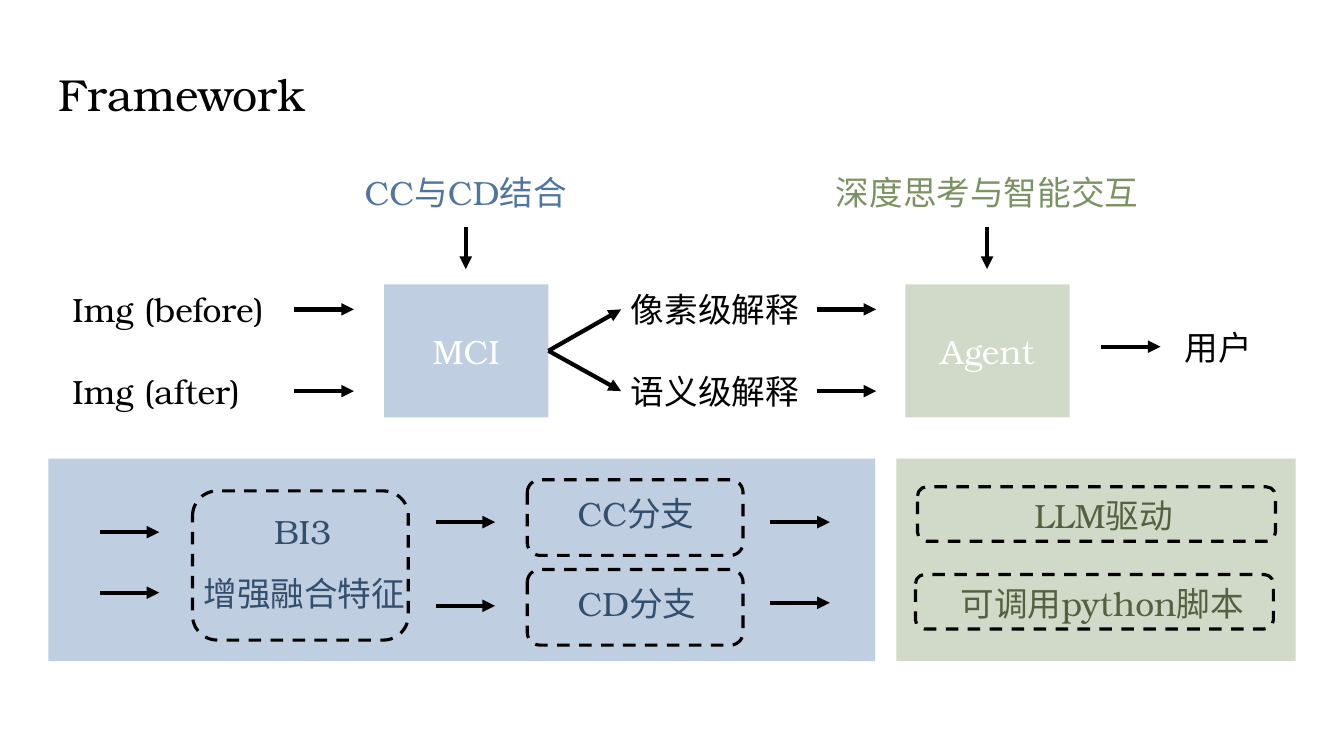
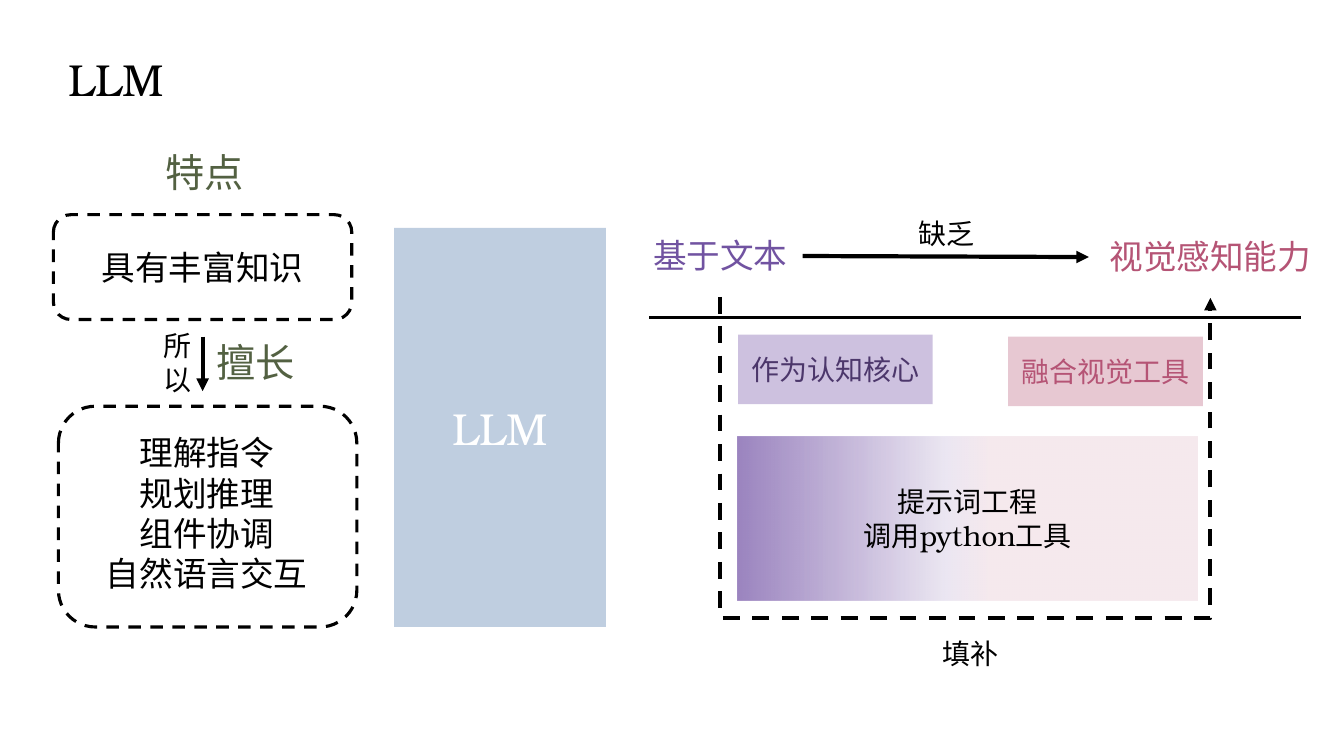
from dataclasses import dataclass

from lxml.etree import SubElement
from pptx import Presentation
from pptx.dml.color import RGBColor
from pptx.enum.dml import MSO_LINE_DASH_STYLE as Dash
from pptx.enum.shapes import MSO_CONNECTOR_TYPE as Connector
from pptx.enum.shapes import MSO_AUTO_SHAPE_TYPE as Shape
from pptx.enum.text import MSO_AUTO_SIZE as AutoSize
from pptx.enum.text import PP_PARAGRAPH_ALIGNMENT as Align
from pptx.oxml.ns import qn
from pptx.util import Inches, Pt


@dataclass(frozen=True)
class Theme:
    font: str = "TeX Gyre Bonum"
    title: int = 32
    heading: int = 28
    body: int = 24
    small: int = 20
    line: float = 3
    outline: float = 2.25
    rule: float = 1.5
    black: str = "000000"
    white: str = "FFFFFF"
    blue: str = "809EC2"
    blue_text: str = "4E75A3"
    blue_dark: str = "344E6D"
    green: str = "A5B592"
    green_text: str = "7D9263"
    green_dark: str = "536142"
    purple: str = "9C85C0"
    purple_text: str = "7153A1"
    purple_dark: str = "4C376B"
    pink: str = "D092A7"
    pink_text: str = "B55475"


theme = Theme()


def add_box(slide, frame, text="", size=theme.body, color=theme.black, kind=None,
            fill=None, dashed=False, align=Align.CENTER):
    """Add a text box, or a preset shape if kind is given; fills are half transparent."""
    lengths = [Inches(length) for length in frame]
    if kind is None:
        shape = slide.shapes.add_textbox(*lengths)
        shape.text_frame.auto_size = AutoSize.SHAPE_TO_FIT_TEXT
    else:
        shape = slide.shapes.add_shape(kind, *lengths)
        shape.shadow.inherit = False
        shape.fill.background()
        shape.line.fill.background()
    if fill:
        shape.fill.solid()
        shape.fill.fore_color.rgb = RGBColor.from_string(fill)
        solid_color = shape.element.xpath("./p:spPr/a:solidFill/a:srgbClr")[0]
        SubElement(solid_color, qn("a:alpha"), val="50000")
    if dashed:
        shape.line.color.rgb = RGBColor.from_string(theme.black)
        shape.line.width = Pt(theme.outline)
        shape.line.dash_style = Dash.DASH
    shape.text_frame.word_wrap = True
    shape.text_frame.text = text
    for paragraph in shape.text_frame.paragraphs:
        paragraph.alignment = align
        paragraph.font.name = theme.font
        paragraph.font.size = Pt(size)
        paragraph.font.color.rgb = RGBColor.from_string(color)
    return shape


def add_line(slide, start, end, width=theme.line, kind=Connector.STRAIGHT, arrow=True):
    line = slide.shapes.add_connector(kind, *[Inches(length) for length in (*start, *end)])
    line.line.color.rgb = RGBColor.from_string(theme.black)
    line.line.width = Pt(width)
    if arrow:
        SubElement(line.element.xpath("./p:spPr/a:ln")[0], qn("a:tailEnd"), type="triangle")
    SubElement(line.element.spPr, qn("a:effectLst"))
    return line


presentation = Presentation()
presentation.slide_width = Inches(13.33)
presentation.slide_height = Inches(7.5)
blank = presentation.slide_layouts[6]
framework = presentation.slides.add_slide(blank)
llm = presentation.slides.add_slide(blank)

for slide, frame, title in [
    (framework, (0.48, 0.61, 3.1, 0.64), "Framework"),
    (llm, (0.58, 0.46, 2.38, 0.64), "LLM"),
]:
    add_box(slide, frame, title, theme.title, align=Align.LEFT)

# Framework: upper flow
for left, name, fill, note, note_color in [
    (3.81, "MCI", theme.blue, "CC与CD结合", theme.blue_text),
    (8.98, "Agent", theme.green, "深度思考与智能交互", theme.green_text),
]:
    center = left + 0.81
    add_box(framework, (left, 2.82, 1.63, 1.32), name, color=theme.white,
            kind=Shape.RECTANGLE, fill=fill)
    add_box(framework, (center - 1.8, 1.66, 3.6, 0.5), note, color=note_color)
    add_line(framework, (center, 2.25), (center, 2.67))

for top, image, explanation in [
    (2.82, "Img (before)", "像素级解释"),
    (3.63, "Img (after)", "语义级解释"),
]:
    middle = top + 0.25
    add_box(framework, (0.62, top, 2.76, 0.5), image, align=Align.LEFT)
    add_box(framework, (6.16, top, 1.93, 0.5), explanation, align=Align.LEFT)
    add_line(framework, (5.44, 3.48), (6.16, middle))
    for left in (2.92, 8.1):
        add_line(framework, (left, middle), (left + 0.59, middle))

add_box(framework, (11.65, 3.19, 1.47, 0.5), "用户", align=Align.LEFT)

# Framework: detail panels
for left, width, fill in [(0.48, 8.2, theme.blue), (8.89, 3.96, theme.green)]:
    add_box(framework, (left, 4.55, width, 2.01), kind=Shape.RECTANGLE, fill=fill)

for frame in [
    (1.91, 4.87, 2.14, 1.48),
    (5.23, 4.76, 2.14, 0.75),
    (5.23, 5.65, 2.14, 0.75),
    (9.1, 4.83, 3.55, 0.54),
    (9.08, 5.7, 3.55, 0.54),
]:
    add_box(framework, frame, kind=Shape.ROUNDED_RECTANGLE, dashed=True)

for left, top, width, label, color in [
    (2.62, 5.02, 0.95, "BI3", theme.blue_dark),
    (1.92, 5.63, 2.33, "增强融合特征", theme.blue_dark),
    (5.63, 4.84, 1.46, "CC分支", theme.blue_dark),
    (5.63, 5.73, 1.46, "CD分支", theme.blue_dark),
    (10.16, 4.86, 1.94, "LLM驱动", theme.green_dark),
    (9.43, 5.73, 3.37, "可调用python脚本", theme.green_dark),
]:
    add_box(framework, (left, top, width, 0.5), label, color=color, align=Align.LEFT)

for left, middle in [(10.92, 3.44), (0.99, 5.28), (0.99, 5.88), (4.32, 5.18),
                     (4.32, 6.01), (7.64, 5.18), (7.64, 5.98)]:
    add_line(framework, (left, middle), (left + 0.59, middle))

# LLM: strengths
add_box(llm, (3.91, 2.26, 2.1, 3.96), "LLM", theme.title, theme.white,
        kind=Shape.RECTANGLE, fill=theme.blue)
add_box(llm, (0.53, 2.13, 2.96, 1.04), "具有丰富知识",
        kind=Shape.ROUNDED_RECTANGLE, dashed=True)
add_box(llm, (0.58, 4.03, 2.96, 2.19), kind=Shape.ROUNDED_RECTANGLE, dashed=True)
add_box(llm, (0.92, 4.24, 2.26, 1.72), "理解指令\n规划推理\n组件协调\n自然语言交互")

for frame, label, size, color in [
    ((1.54, 1.42, 1.52, 0.57), "特点", theme.heading, theme.green_dark),
    ((2.05, 3.31, 1.31, 0.57), "擅长", theme.heading, theme.green_dark),
    ((1.52, 3.21, 0.52, 0.77), "所以", theme.small, theme.black),
    ((9.01, 2.1, 1.31, 0.44), "缺乏", theme.small, theme.black),
    ((9.25, 6.27, 1.31, 0.44), "填补", theme.small, theme.black),
]:
    add_box(llm, frame, label, size, color, align=Align.LEFT)

# LLM: gap and remedy
for frame, label, color in [
    ((6.33, 2.13, 1.63, 0.81), "基于文本", theme.purple_text),
    ((10.8, 2.14, 2.41, 0.81), "视觉感知能力", theme.pink_text),
]:
    add_box(llm, frame, label, color=color, kind=Shape.ROUNDED_RECTANGLE)

add_line(llm, (2.01, 3.34), (2.01, 3.88))
add_line(llm, (7.96, 2.54), (10.8, 2.55))
add_line(llm, (6.44, 3.15), (12.9, 3.15), theme.rule, arrow=False)

# The elbow is turned a quarter so that it drops below both of its ends
detour = add_line(llm, (9.58, 0.52), (9.57, 5.38), kind=Connector.ELBOW)
detour.line.dash_style = Dash.DASH
detour.element.xpath("./p:spPr/a:xfrm")[0].set("rot", str(270 * 60000))
adjustments = detour.element.xpath("./p:spPr/a:prstGeom/a:avLst")[0]
SubElement(adjustments, qn("a:gd"), name="adj1", fmla="val 32400000")

for left, top, label, color, fill in [
    (7.32, 3.32, "作为认知核心", theme.purple_dark, theme.purple),
    (10, 3.34, "融合视觉工具", theme.pink_text, theme.pink),
]:
    add_box(llm, (left, top, 1.93, 0.69), label, theme.small, color,
            kind=Shape.RECTANGLE, fill=fill)

toolbox = add_box(llm, (7.32, 4.33, 4.56, 1.63), "提示词工程\n调用python工具", theme.small,
                  kind=Shape.RECTANGLE)
toolbox.fill.gradient()
toolbox.fill.gradient_angle = 0
stops = toolbox.element.xpath("./p:spPr/a:gradFill/a:gsLst")[0]
stops.clear()
for position, color, opacity in [
    (0, theme.purple, 100),
    (45, theme.purple, 20),
    (55, theme.pink, 20),
    (100, theme.pink, 20),
]:
    stop = SubElement(stops, qn("a:gs"), pos=str(position * 1000))
    stop_color = SubElement(stop, qn("a:srgbClr"), val=color)
    SubElement(stop_color, qn("a:alpha"), val=str(opacity * 1000))

presentation.save("out.pptx")
